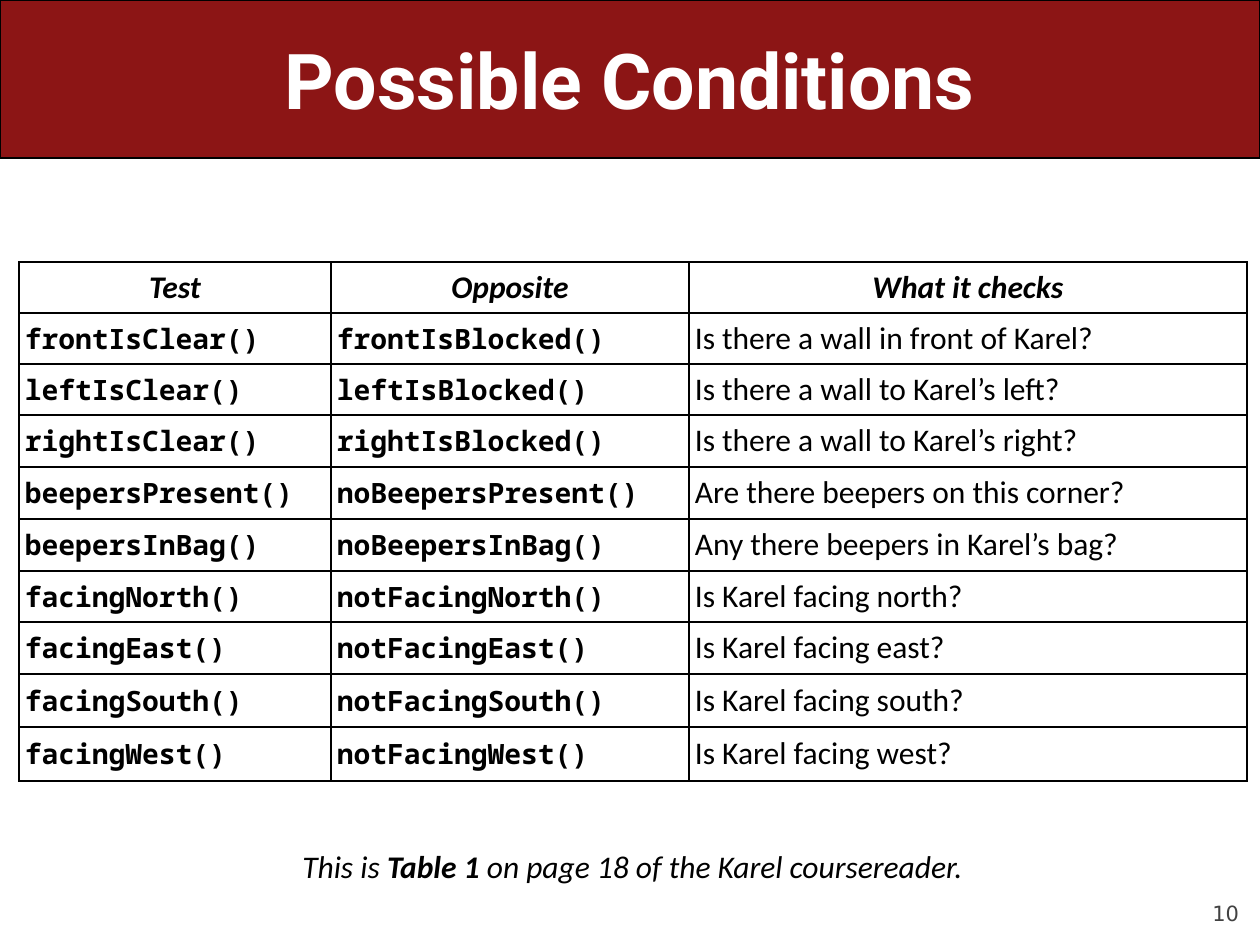
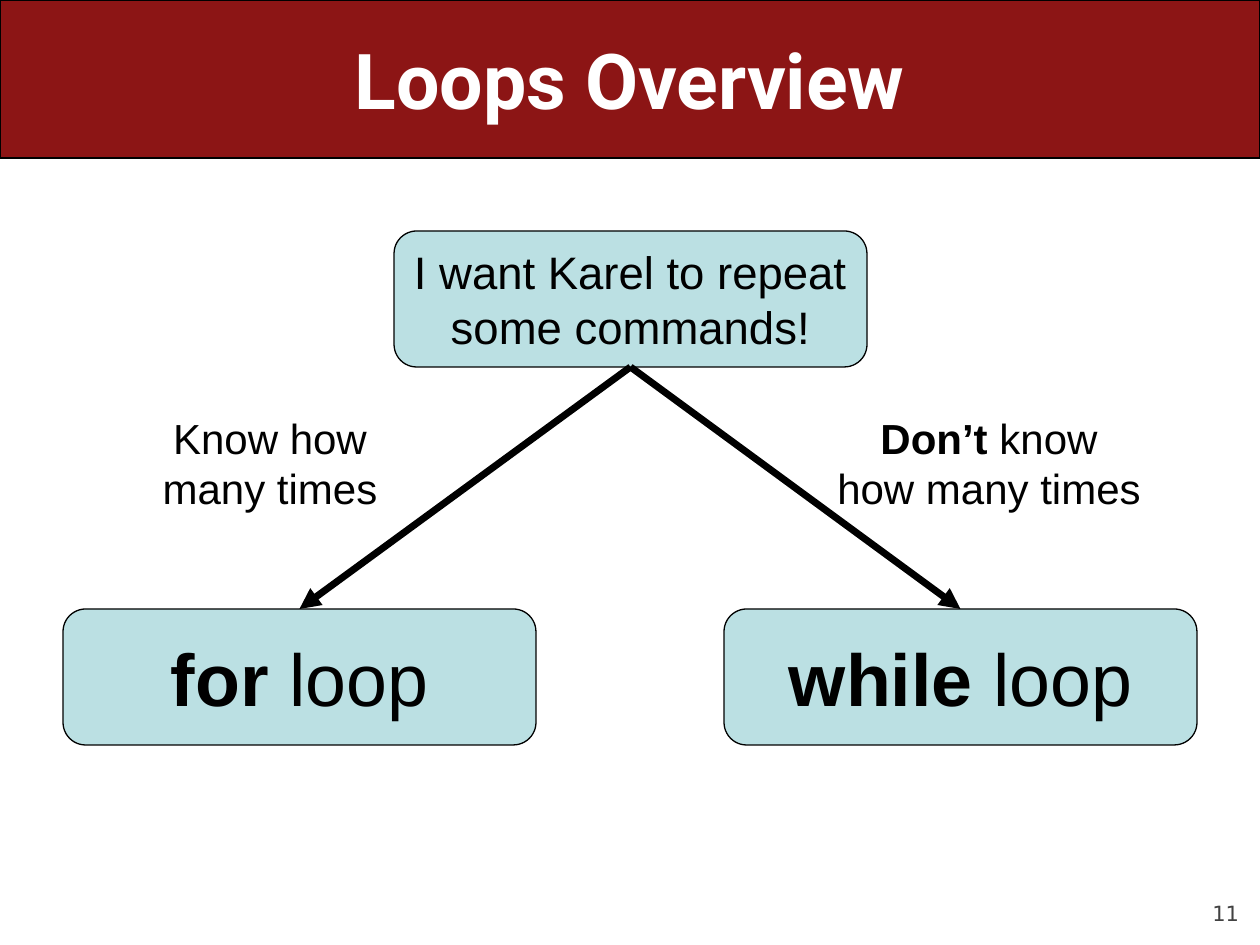
from lxml import etree
from pptx import Presentation
from pptx.dml.color import RGBColor
from pptx.enum.shapes import MSO_CONNECTOR, MSO_SHAPE
from pptx.enum.text import MSO_ANCHOR, PP_ALIGN
from pptx.oxml.ns import qn
from pptx.util import Emu, Pt

LEFT, CENTER, RIGHT = PP_ALIGN.LEFT, PP_ALIGN.CENTER, PP_ALIGN.RIGHT
TOP, MIDDLE, BOTTOM = MSO_ANCHOR.TOP, MSO_ANCHOR.MIDDLE, MSO_ANCHOR.BOTTOM
ROUNDED, STRAIGHT = MSO_SHAPE.ROUNDED_RECTANGLE, MSO_CONNECTOR.STRAIGHT

PX_PER_INCH = 126
SLIDE_W, SLIDE_H = 1260, 945
BAND_H = 158
TOP_SITE, BOTTOM_SITE = 0, 2

CARDINAL, PALE_TEAL, BLACK, WHITE, GRAY = "8C1515", "BBE0E3", "000000", "FFFFFF", "424242"

TITLE = {"name": "Roboto", "size": 44, "bold": True, "color": WHITE}
PAGE_NUMBER = {"name": "DejaVu Sans", "size": 12, "color": GRAY}
HEADING = {"name": "Calibri", "size": 18, "bold": True, "italic": True}
CODE = {"name": "Noto Sans Mono", "size": 16, "bold": True}
PROSE = {"name": "Calibri", "size": 18}
CAPTION = {"name": "Calibri", "size": 18, "italic": True}
GOAL = {"name": "Arial", "size": 26}
LOOP = {"name": "Arial", "size": 42}
CASE = {"name": "Arial", "size": 24}

CONDITIONS = [
    ("Test", "Opposite", "What it checks"),
    ("frontIsClear()", "frontIsBlocked()", "Is there a wall in front of Karel?"),
    ("leftIsClear()", "leftIsBlocked()", "Is there a wall to Karel’s left?"),
    ("rightIsClear()", "rightIsBlocked()", "Is there a wall to Karel’s right?"),
    ("beepersPresent()", "noBeepersPresent()", "Are there beepers on this corner?"),
    ("beepersInBag()", "noBeepersInBag()", "Any there beepers in Karel’s bag?"),
    ("facingNorth()", "notFacingNorth()", "Is Karel facing north?"),
    ("facingEast()", "notFacingEast()", "Is Karel facing east?"),
    ("facingSouth()", "notFacingSouth()", "Is Karel facing south?"),
    ("facingWest()", "notFacingWest()", "Is Karel facing west?"),
]
COLUMN_WIDTHS = [312, 358, 558]
ROW_HEIGHTS = [51, 51, 51, 52, 52, 52, 51, 52, 53, 54]


def px(length):
    return Emu(round(length * 914400 / PX_PER_INCH))


def rgb(color):
    return RGBColor.from_string(color)


def write(frame, runs, style, align):
    """Fill the first paragraph; each run is (text, changes to the style)."""
    paragraph = frame.paragraphs[0]
    paragraph.alignment = align
    for text, changes in runs:
        run = paragraph.add_run()
        run.text = text
        values = {"color": BLACK, "bold": False, "italic": False, **style, **changes}
        run.font.color.rgb = rgb(values.pop("color"))
        values["size"] = Pt(values["size"])
        for name, value in values.items():
            setattr(run.font, name, value)


def add_text(slide, box, runs, style, align=CENTER, anchor=TOP, inset=None):
    frame = slide.shapes.add_textbox(*map(px, box)).text_frame
    frame.word_wrap = True
    frame.vertical_anchor = anchor
    if inset is not None:
        for side in ("left", "top", "right", "bottom"):
            setattr(frame, f"margin_{side}", px(inset))
    write(frame, runs, style, align)


def add_panel(slide, box, fill):
    panel = slide.shapes.add_shape(ROUNDED, *map(px, box))
    panel.shadow.inherit = False
    panel.fill.solid()
    panel.fill.fore_color.rgb = rgb(fill)
    panel.line.color.rgb = rgb(BLACK)
    panel.line.width = Pt(0.75)
    return panel


def add_node(slide, left, top, runs, style):
    node = add_panel(slide, (left, top, 473, 136), PALE_TEAL)
    node.text_frame.word_wrap = True
    node.text_frame.vertical_anchor = MIDDLE
    write(node.text_frame, runs, style, CENTER)
    return node


def add_arrow(slide, source, target):
    arrow = slide.shapes.add_connector(STRAIGHT, 0, 0, 0, 0)
    arrow.begin_connect(source, BOTTOM_SITE)
    arrow.end_connect(target, TOP_SITE)
    arrow.line.color.rgb = rgb(BLACK)
    arrow.line.width = Pt(4)
    etree.SubElement(arrow.line._get_or_add_ln(), qn("a:tailEnd"), type="triangle")
    etree.SubElement(arrow._element.spPr, qn("a:effectLst"))


def add_cell_borders(cell):
    properties = cell._tc.get_or_add_tcPr()
    for side in ("lnL", "lnR", "lnT", "lnB"):
        border = etree.SubElement(properties, qn(f"a:{side}"), w=str(Pt(1)))
        fill = etree.SubElement(border, qn("a:solidFill"))
        etree.SubElement(fill, qn("a:srgbClr"), val=BLACK)


def fill_cell(cell, text, style, align, anchor):
    for side in ("left", "top", "right", "bottom"):
        setattr(cell, f"margin_{side}", px(6))
    cell.vertical_anchor = anchor
    add_cell_borders(cell)
    cell.fill.background()
    write(cell.text_frame, [(text, {})], style, align)


def add_conditions_table(slide, left, top):
    size = sum(COLUMN_WIDTHS), sum(ROW_HEIGHTS)
    table = slide.shapes.add_table(
        len(ROW_HEIGHTS), len(COLUMN_WIDTHS), *map(px, (left, top, *size))).table
    table.first_row = table.horz_banding = False
    for column, width in zip(table.columns, COLUMN_WIDTHS):
        column.width = px(width)
    for row, height, texts in zip(table.rows, ROW_HEIGHTS, CONDITIONS):
        row.height = px(height)
        is_header = texts is CONDITIONS[0]
        for cell, text, body_style in zip(row.cells, texts, (CODE, CODE, PROSE)):
            if is_header:
                fill_cell(cell, text, HEADING, CENTER, BOTTOM)
            else:
                fill_cell(cell, text, body_style, LEFT, MIDDLE)


def add_titled_slide(deck, title, number):
    slide = deck.slides.add_slide(deck.slide_layouts[6])
    add_text(slide, (1134, 876, 105, 50), [(str(number), {})], PAGE_NUMBER,
             RIGHT, BOTTOM, inset=0)
    band = add_panel(slide, (0, 0, SLIDE_W, BAND_H), CARDINAL)
    band.adjustments[0] = 0
    add_text(slide, (63, 0, 1134, BAND_H), [(title, {})], TITLE, anchor=MIDDLE)
    return slide


def build_conditions(deck):
    slide = add_titled_slide(deck, "Possible Conditions", 10)
    add_conditions_table(slide, 19, 262)
    caption = [("This is ", {}), ("Table 1", {"bold": True}),
               (" on page 18 of the Karel coursereader.", {})]
    add_text(slide, (55, 841, 1155, 50), caption, CAPTION)


def build_loops(deck):
    slide = add_titled_slide(deck, "Loops Overview", 11)
    bold = {"bold": True}
    goal = add_node(slide, 394, 231, [("I want Karel to repeat some commands!", {})], GOAL)
    for left, keyword in ((63, "for"), (724, "while")):
        loop = add_node(slide, left, 609, [(keyword, bold), (" loop", {})], LOOP)
        add_arrow(slide, goal, loop)
    cases = [(105, [("Know how many times", {})]),
             (824, [("Don’t ", bold), ("know how many times", {})])]
    for left, runs in cases:
        add_text(slide, (left, 406, 330, 115), runs, CASE)


def main():
    deck = Presentation()
    deck.slide_width, deck.slide_height = px(SLIDE_W), px(SLIDE_H)
    build_conditions(deck)
    build_loops(deck)
    deck.save("out.pptx")


if __name__ == "__main__":
    main()
